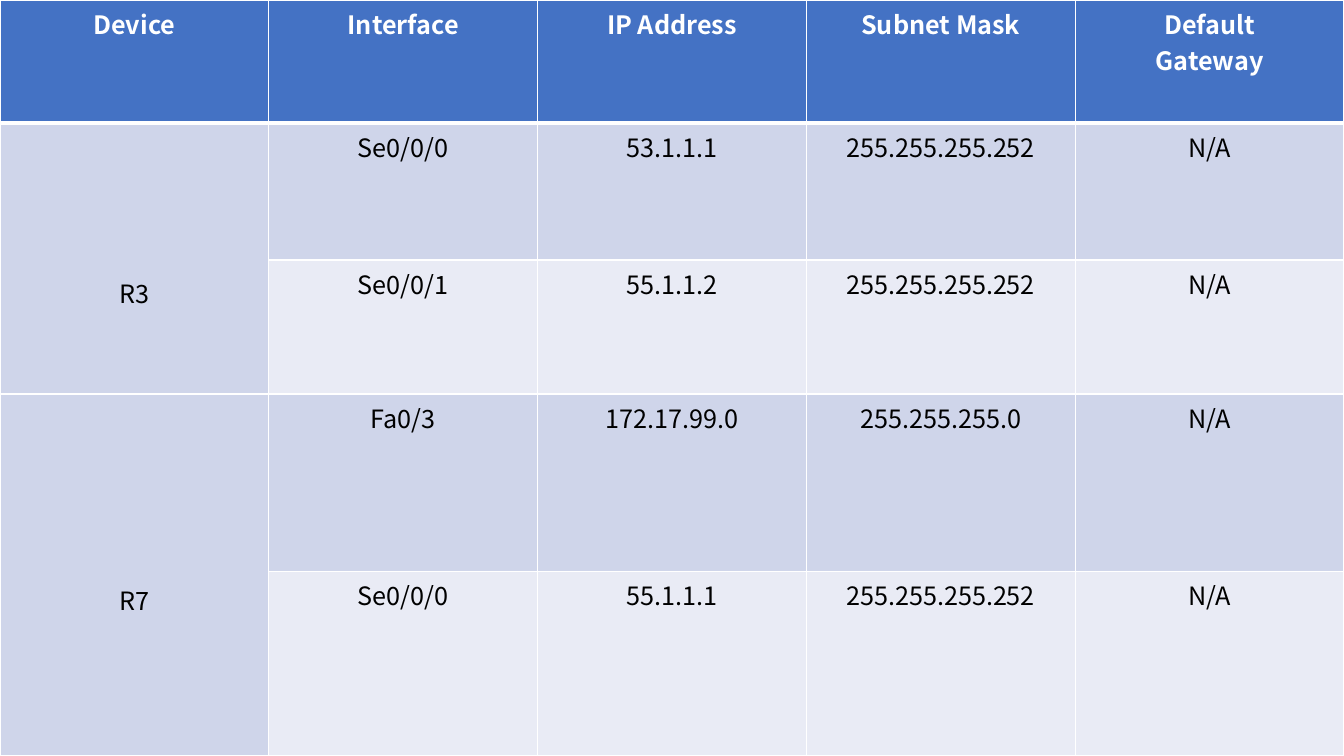
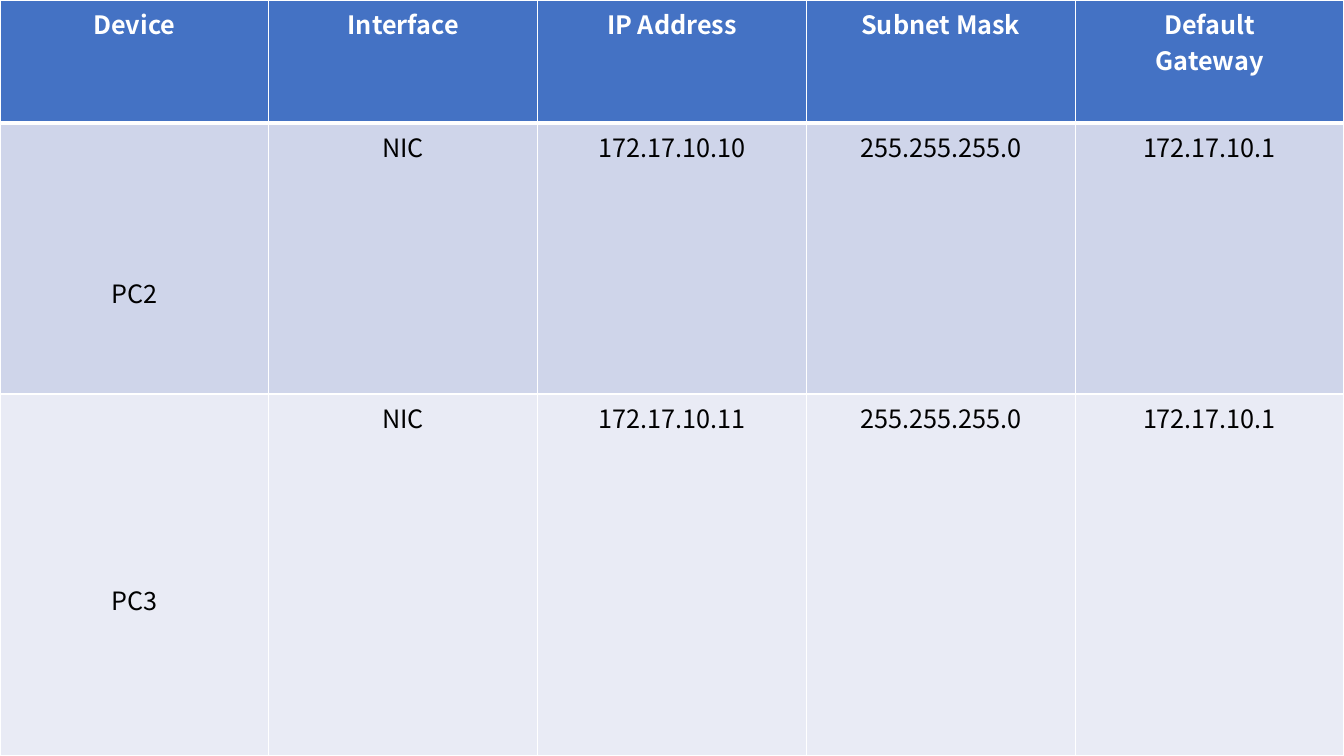
from lxml.etree import SubElement
from pptx import Presentation
from pptx.dml.color import RGBColor
from pptx.enum.text import PP_ALIGN
from pptx.oxml.ns import qn
from pptx.util import Inches, Pt

# Shared style
SLIDE_W, SLIDE_H = 13.33, 7.5
FONT, SIZE = "Noto Sans CJK KR", 18
WHITE, BLACK, HEADER_BLUE = "FFFFFF", "000000", "4472C4"
BANDS = ["CFD5EA", "E9EBF5"]
HEADERS = ["Device", "Interface", "IP Address", "Subnet Mask", "Default\nGateway"]
HEADER_H = 1.22
THIN, THICK = 1, 3
CELL_MARGIN = 0.05

# Each device: name, drop of its label below the top of the cell, its rows
ROUTERS = [
    ("R3", 1.45, [("Se0/0/0", "53.1.1.1", "255.255.255.252", "N/A"),
                  ("Se0/0/1", "55.1.1.2", "255.255.255.252", "N/A")]),
    ("R7", 1.81, [("Fa0/3", "172.17.99.0", "255.255.255.0", "N/A"),
                  ("Se0/0/0", "55.1.1.1", "255.255.255.252", "N/A")]),
]
PCS = [
    ("PC2", 1.45, [("NIC", "172.17.10.10", "255.255.255.0", "172.17.10.1")]),
    ("PC3", 1.81, [("NIC", "172.17.10.11", "255.255.255.0", "172.17.10.1")]),
]


def rgb(color):
    return RGBColor.from_string(color)


def set_borders(cell, top=THIN, bottom=THIN):
    """Give the cell white borders; the widths are in points."""
    tc_pr = cell._tc.get_or_add_tcPr()
    widths = {"a:lnL": THIN, "a:lnR": THIN, "a:lnT": top, "a:lnB": bottom}
    for tag, width in widths.items():
        ln = SubElement(tc_pr, qn(tag), w=str(Pt(width)))
        fill = SubElement(ln, qn("a:solidFill"))
        SubElement(fill, qn("a:srgbClr"), val=WHITE)


def set_text(cell, text, color=BLACK, bold=False, drop=0):
    tf = cell.text_frame
    tf.text = text
    cell.margin_top = Inches(CELL_MARGIN + drop)
    for p in tf.paragraphs:
        p.alignment = PP_ALIGN.CENTER
        p.font.name = FONT
        p.font.size = Pt(SIZE)
        p.font.bold = bold
        p.font.color.rgb = rgb(color)


def set_fill(cell, color):
    cell.fill.solid()
    cell.fill.fore_color.rgb = rgb(color)


def add_header(table):
    for cell, text in zip(table.rows[0].cells, HEADERS):
        set_borders(cell, bottom=THICK)
        set_fill(cell, HEADER_BLUE)
        set_text(cell, text, color=WHITE, bold=True)


def add_device(table, first, name, drop, rows):
    """Fill the rows of one device, with its name in one merged cell."""
    for i, values in enumerate(rows, first):
        band = BANDS[(i - 1) % 2]
        for cell in table.rows[i].cells:
            set_borders(cell, top=THICK if i == 1 else THIN)
            set_fill(cell, band)
        for j, value in enumerate(values, 1):
            set_text(table.cell(i, j), value)
    label = table.cell(first, 0)
    if len(rows) > 1:
        label.merge(table.cell(first + len(rows) - 1, 0))
    set_text(label, name, drop=drop)


def add_address_table(s, box, devices, heights):
    """Place the table in the box; the last row takes the height left over."""
    left, top, width, height = box
    heights = [HEADER_H, *heights]
    heights.append(height - sum(heights))
    frame = s.shapes.add_table(len(heights), len(HEADERS), *map(Inches, box))
    table = frame.table
    table.horz_banding = False
    for col in table.columns:
        col.width = Inches(width / len(HEADERS))
    for row, row_h in zip(table.rows, heights):
        row.height = Inches(row_h)

    add_header(table)
    first = 1
    for name, drop, rows in devices:
        add_device(table, first, name, drop, rows)
        first += len(rows)


def main():
    prs = Presentation()
    prs.slide_width, prs.slide_height = Inches(SLIDE_W), Inches(SLIDE_H)
    blank = prs.slide_layouts[6]
    page = (0, 0, SLIDE_W, SLIDE_H)
    for devices, heights in [(ROUTERS, [1.36, 1.33, 1.76]), (PCS, [2.69])]:
        s = prs.slides.add_slide(blank)
        add_address_table(s, page, devices, heights)
    prs.save("out.pptx")


if __name__ == "__main__":
    main()
